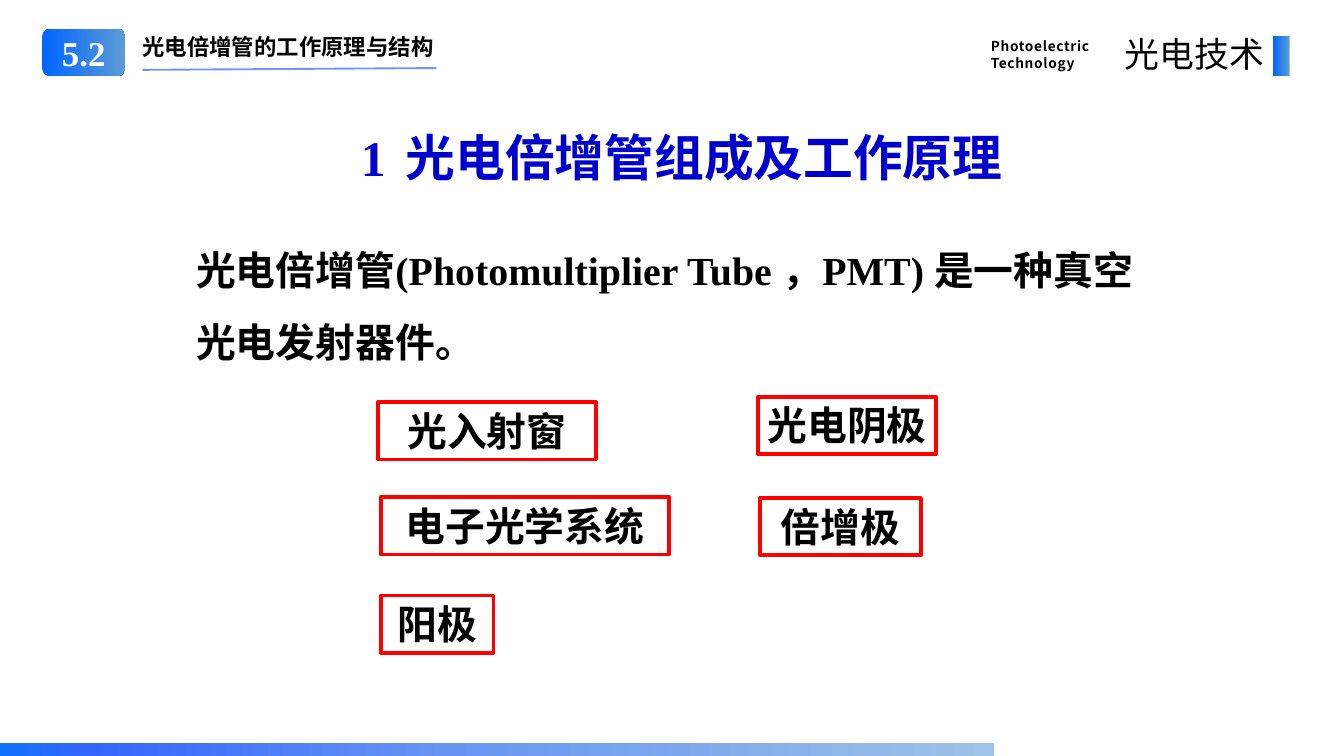
from lxml import etree
from pptx import Presentation
from pptx.dml.color import RGBColor
from pptx.enum import shapes, text
from pptx.oxml import ns
from pptx.util import Inches, Pt

COLORS = {"black": "000000", "white": "FFFFFF", "title": "0000CC", "frame": "FF0000",
          "rule": "3366FF", "deep": "0066FF", "soft": "5B9BD5"}
SERIF, SANS = "Times New Roman", "Noto Sans CJK SC"
LEFT, CENTER, RIGHT = text.PP_ALIGN.LEFT, text.PP_ALIGN.CENTER, text.PP_ALIGN.RIGHT
RECT, ROUNDED = shapes.MSO_SHAPE.RECTANGLE, shapes.MSO_SHAPE.ROUNDED_RECTANGLE


def write(shape, lines, size, font=SERIF, color="black", bold=True, align=LEFT,
          spacing=None, tracking=0, wrap=False, anchor=text.MSO_ANCHOR.TOP):
    """Fill a shape with uniformly styled paragraphs; tracking is in points."""
    frame = shape.text_frame
    frame.text = lines
    frame.word_wrap = wrap
    frame.vertical_anchor = anchor
    for para in frame.paragraphs:
        para.alignment = align
        para.line_spacing = spacing
        for span in para.runs:
            span.font.size = Pt(size)
            span.font.bold = bold
            span.font.name = font
            span.font.color.rgb = RGBColor.from_string(COLORS[color])
            properties = span.font._element
            etree.SubElement(properties, ns.qn("a:ea"), typeface=SANS)
            if tracking:
                properties.set("spc", str(int(tracking * 100)))


def add_gradient_block(kind, place, stops):
    """Add a borderless shape with a left-to-right gradient of (percent, hex) stops."""
    block = page.shapes.add_shape(kind, *map(Inches, place))
    block.shadow.inherit = False
    block.line.fill.background()
    block.fill.gradient()
    block.fill.gradient_angle = 0
    stop_list = block._element.spPr.find(".//" + ns.qn("a:gsLst"))
    for stop in list(stop_list):
        stop_list.remove(stop)
    for percent, color in stops:
        stop = etree.SubElement(stop_list, ns.qn("a:gs"), pos=str(percent * 1000))
        etree.SubElement(stop, ns.qn("a:srgbClr"), val=color)
    return block


deck = Presentation()
deck.slide_width, deck.slide_height = Inches(15), Inches(8.44)
page = deck.slides.add_slide(deck.slide_layouts[6])

# Title, with a tab stop between number and wording
title = page.shapes.add_textbox(Inches(3.93), Inches(1.37), Inches(7.76), Inches(0.77))
title.text_frame.text = "1"
tabs = etree.SubElement(title.text_frame.paragraphs[0]._p.get_or_add_pPr(), ns.qn("a:tabLst"))
etree.SubElement(tabs, ns.qn("a:tab"), pos=str(Inches(0.69)), algn="l")
write(title, "1\t光电倍增管组成及工作原理", 40, color="title")

# Definition
definition = page.shapes.add_textbox(Inches(2.09), Inches(2.43), Inches(10.78), Inches(1.72))
write(definition, "光电倍增管(Photomultiplier Tube ，PMT) 是一种真空光电发射器件。", 32,
      spacing=1.5, wrap=True)

# Framed components
components = [
    ("光入射窗", 4.22, 4.49, 2.43),
    ("光电阴极", 8.46, 4.43, 1.99),
    ("电子光学系统", 4.25, 5.55, 3.22),
    ("倍增极", 8.48, 5.56, 1.8),
    ("阳极", 4.25, 6.65, 1.26),
]
for name, left, top, width in components:
    box = page.shapes.add_shape(RECT, Inches(left), Inches(top), Inches(width), Inches(0.64))
    box.shadow.inherit = False
    box.fill.background()
    box.line.color.rgb = RGBColor.from_string(COLORS["frame"])
    box.line.width = Pt(3)
    write(box, name, 32, align=CENTER)

# Header
section = page.shapes.add_textbox(Inches(1.49), Inches(0.32), Inches(3.5), Inches(0.4))
write(section, "光电倍增管的工作原理与结构", 18, SANS)
english = page.shapes.add_textbox(Inches(10.96), Inches(0.36), Inches(1.58), Inches(0.49))
write(english, "Photoelectric\nTechnology", 11, SANS, spacing=Pt(14), tracking=0.5, wrap=True)
course = page.shapes.add_textbox(Inches(12.31), Inches(0.32), Inches(1.9), Inches(0.57))
write(course, "光电技术", 28, SANS, bold=False, align=RIGHT, tracking=0.2, wrap=True)

blue_fade = [(0, COLORS["deep"]), (100, COLORS["soft"])]
add_gradient_block(RECT, (14.21, 0.4, 0.18, 0.45), blue_fade)
badge = add_gradient_block(ROUNDED, (0.47, 0.32, 0.93, 0.53), blue_fade)
write(badge, "5.2", 28, color="white", align=CENTER, anchor=text.MSO_ANCHOR.MIDDLE)

rule = page.shapes.add_connector(shapes.MSO_CONNECTOR.STRAIGHT, Inches(1.59), Inches(0.78),
                                 Inches(4.87), Inches(0.76))
rule.line.color.rgb = RGBColor.from_string(COLORS["rule"])
rule.line.width = Pt(1.5)
rule_color = rule._element.spPr.find(".//" + ns.qn("a:srgbClr"))
etree.SubElement(rule_color, ns.qn("a:alpha"), val="70000")
etree.SubElement(rule._element.spPr, ns.qn("a:effectLst"))

# Footer band
add_gradient_block(RECT, (0, 8.3, 11.09, 0.14),
                   [(0, "1271FE"), (9, COLORS["rule"]), (45, "6895F3"), (100, "9DC3E6")])

deck.save("out.pptx")
